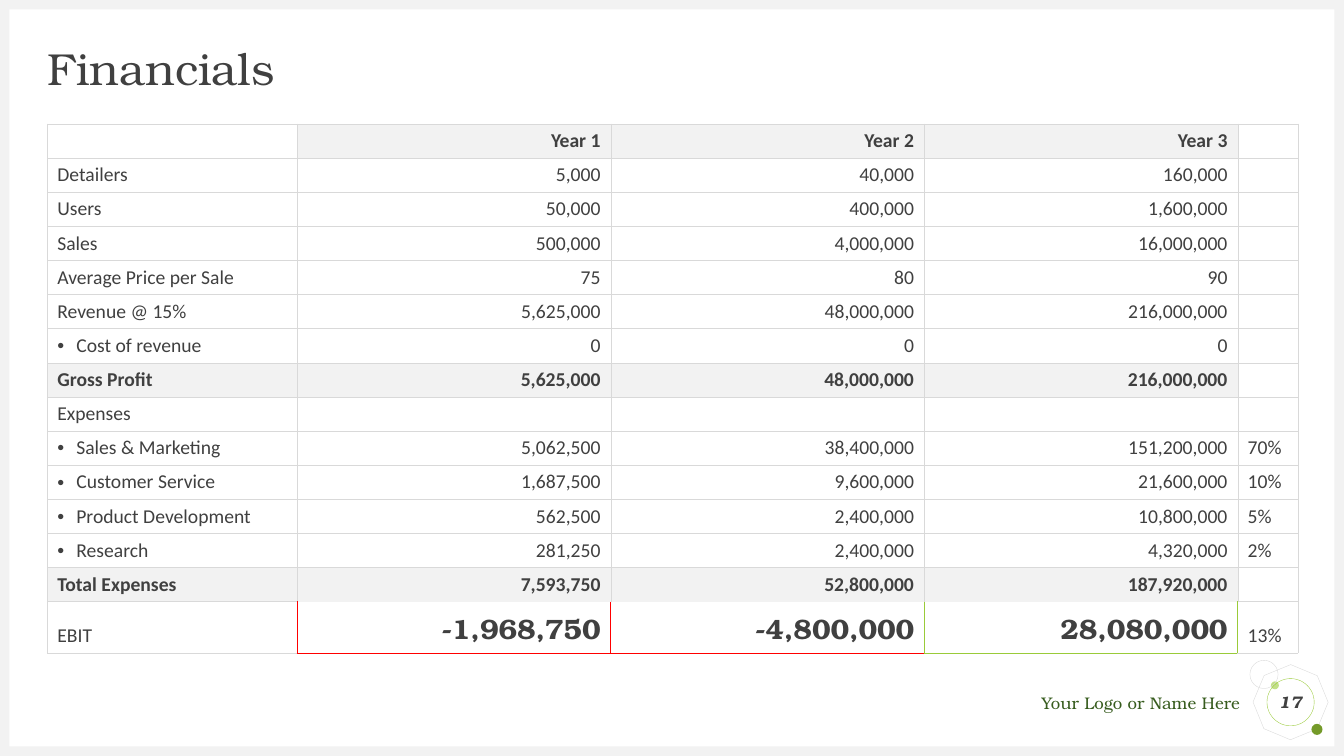
from lxml import etree
from pptx import Presentation
from pptx.dml.color import RGBColor
from pptx.enum.shapes import MSO_SHAPE
from pptx.enum.text import MSO_ANCHOR, PP_ALIGN
from pptx.oxml.ns import qn
from pptx.util import Cm, Pt

RECT, OVAL, OCTAGON = MSO_SHAPE.RECTANGLE, MSO_SHAPE.OVAL, MSO_SHAPE.OCTAGON
LEFT, CENTER, RIGHT = PP_ALIGN.LEFT, PP_ALIGN.CENTER, PP_ALIGN.RIGHT
MIDDLE, BOTTOM = MSO_ANCHOR.MIDDLE, MSO_ANCHOR.BOTTOM

WHITE = RGBColor(0xFF, 0xFF, 0xFF)
PALE = RGBColor(0xF2, 0xF2, 0xF2)
GRID = RGBColor(0xD9, 0xD9, 0xD9)
DARK = RGBColor(0x40, 0x40, 0x40)
RED = RGBColor(0xFF, 0x00, 0x00)
GREEN = RGBColor(0x9A, 0xCB, 0x39)
LIGHT_GREEN = RGBColor(0xC2, 0xE0, 0x88)
MOSS = RGBColor(0x74, 0x9A, 0x29)
FOREST = RGBColor(0x37, 0x5C, 0x1E)

SERIF, SANS = "TeX Gyre Bonum", "Calibri"
TITLE = {"name": SERIF, "size": Pt(32)}
FOOTER = {"name": SERIF, "size": Pt(12)}
NUMBER = {"name": SERIF, "size": Pt(12), "bold": True, "italic": True}
BODY = {"name": SANS, "size": Pt(14), "bold": False}
STRONG = {"name": SANS, "size": Pt(14), "bold": True}
RESULT = {"name": SERIF, "size": Pt(20), "bold": True}

WIDTH, HEIGHT = 33.87, 19.05
COLUMNS = [6.3, 7.9, 7.9, 7.9, 1.52]
ROW, LAST_ROW = 0.86, 1.3
INDENT = 0.48
EXPENSES = ["Sales & Marketing", "Customer Service", "Product Development", "Research"]
BULLETED = ["Cost of revenue", *EXPENSES]
SHADED = ["", "Gross Profit", "Total Expenses"]
ROWS = [
    ["", "Year 1", "Year 2", "Year 3", ""],
    ["Detailers", "5,000", "40,000", "160,000", ""],
    ["Users", "50,000", "400,000", "1,600,000", ""],
    ["Sales", "500,000", "4,000,000", "16,000,000", ""],
    ["Average Price per Sale", "75", "80", "90", ""],
    ["Revenue @ 15%", "5,625,000", "48,000,000", "216,000,000", ""],
    ["Cost of revenue", "0", "0", "0", ""],
    ["Gross Profit", "5,625,000", "48,000,000", "216,000,000", ""],
    ["Expenses", "", "", "", ""],
    ["Sales & Marketing", "5,062,500", "38,400,000", "151,200,000", "70%"],
    ["Customer Service", "1,687,500", "9,600,000", "21,600,000", "10%"],
    ["Product Development", "562,500", "2,400,000", "10,800,000", "5%"],
    ["Research", "281,250", "2,400,000", "4,320,000", "2%"],
    ["Total Expenses", "7,593,750", "52,800,000", "187,920,000", ""],
    ["EBIT", "-1,968,750", "-4,800,000", "28,080,000", "13%"],
]
# Left and right border colours of the last row, column by column
RESULT_SIDES = [(GRID, RED), (RED, RED), (RED, GREEN), (GREEN, GREEN), (GREEN, GRID)]


def write(p, text, style, color=DARK, align=LEFT):
    p.alignment = align
    r = p.add_run()
    r.text = text
    for key, value in style.items():
        setattr(r.font, key, value)
    r.font.color.rgb = color


def set_frame(tf):
    tf.word_wrap = True
    tf.vertical_anchor = MIDDLE
    for side in ("left", "top", "right", "bottom"):
        setattr(tf, f"margin_{side}", 0)
    return tf.paragraphs[0]


def add_text(s, box, text, style, color=DARK, align=LEFT):
    tb = s.shapes.add_textbox(*map(Cm, box))
    p = set_frame(tb.text_frame)
    write(p, text, style, color, align)
    return p


def add_part(s, kind, x, y, w, h, fill=None, line=None):
    sp = s.shapes.add_shape(kind, Cm(x), Cm(y), Cm(w), Cm(h))
    sp.shadow.inherit = False
    if fill is None:
        sp.fill.background()
    else:
        sp.fill.solid()
        sp.fill.fore_color.rgb = fill
    if line is None:
        sp.line.fill.background()
    else:
        sp.line.color.rgb = line
        sp.line.width = Pt(0.25)
    return sp


def add_border(cell, side, color):
    tcPr = cell._tc.get_or_add_tcPr()
    width = Pt(0.25) if color in (GRID, None) else Pt(1)
    ln = etree.SubElement(tcPr, qn(f"a:ln{side}"), w=str(width))
    if color is None:
        etree.SubElement(ln, qn("a:noFill"))
    else:
        fill = etree.SubElement(ln, qn("a:solidFill"))
        etree.SubElement(fill, qn("a:srgbClr"), val=str(color))


def add_bullet(p):
    pPr = p._p.get_or_add_pPr()
    pPr.set("marL", str(Cm(INDENT)))
    pPr.set("indent", str(-Cm(INDENT)))
    etree.SubElement(pPr, qn("a:buFont"), typeface="Arial")
    etree.SubElement(pPr, qn("a:buChar"), char="•")


def border_colors(row, col):
    is_value = 1 <= col <= 3
    left = right = top = bottom = GRID
    if row == len(ROWS) - 1:
        left, right = RESULT_SIDES[col]
        if is_value:
            top, bottom = None, left
    elif row == len(ROWS) - 2 and is_value:
        bottom = None
    return {"L": left, "R": right, "T": top, "B": bottom}


def fill_cell(cell, row, col):
    label, text = ROWS[row][0], ROWS[row][col]
    is_value = 1 <= col <= 3
    shaded = label in SHADED and col < 4 and (row > 0 or is_value)
    for side, color in border_colors(row, col).items():
        add_border(cell, side, color)
    cell.fill.solid()
    cell.fill.fore_color.rgb = PALE if shaded else WHITE
    cell.vertical_anchor = BOTTOM
    p = cell.text_frame.paragraphs[0]
    if not text:
        p._p.get_or_add_endParaRPr().set("sz", "1400")
        return
    if label == "EBIT" and is_value:
        style = RESULT
    else:
        style = STRONG if shaded else BODY
    write(p, text, style, align=RIGHT if is_value else LEFT)
    if text in BULLETED:
        add_bullet(p)


def add_financials(s, x, y):
    heights = [ROW] * (len(ROWS) - 1) + [LAST_ROW]
    box = (x, y, sum(COLUMNS), sum(heights))
    table = s.shapes.add_table(len(ROWS), len(COLUMNS), *map(Cm, box)).table
    table.first_row = table.horz_banding = False
    for column, width in zip(table.columns, COLUMNS):
        column.width = Cm(width)
    for row, height in enumerate(heights):
        table.rows[row].height = Cm(height)
        for col in range(len(COLUMNS)):
            fill_cell(table.cell(row, col), row, col)


def add_page_frame(s, w, h, band=0.24):
    for box in ((0, h - band, w, band), (0, 0, w, band),
                (0, 0, band, h), (w - band, 0, band, h)):
        add_part(s, RECT, *box, fill=PALE)


def add_page_badge(s, x, y, number):
    add_part(s, OCTAGON, x + 0.15, y + 0.18, 1.75, 1.75, line=GRID).rotation = 22.7
    add_part(s, OVAL, x + 0.53, y + 0.53, 0.2, 0.2, fill=LIGHT_GREEN)
    add_part(s, OVAL, x + 1.55, y + 1.6, 0.28, 0.28, fill=MOSS)
    add_part(s, OVAL, x, y, 0.71, 0.71, line=GRID)
    sp = add_part(s, OVAL, x + 0.43, y + 0.46, 1.19, 1.19, line=GREEN)
    write(set_frame(sp.text_frame), number, NUMBER, align=CENTER)


def build_financials_slide(prs):
    s = prs.slides.add_slide(prs.slide_layouts[6])
    add_page_frame(s, WIDTH, HEIGHT)
    # Title and table
    add_text(s, (1.19, 1.19, 31.5, 1.19), "Financials", TITLE).line_spacing = 0.9
    add_financials(s, 1.19, 3.12)
    # Footer
    add_text(s, (24.26, 17.45, 6.99, 0.51), "Your Logo or Name Here", FOOTER, FOREST, RIGHT)
    add_page_badge(s, 31.5, 16.64, "17")


def main():
    prs = Presentation()
    prs.slide_width, prs.slide_height = Cm(WIDTH), Cm(HEIGHT)
    build_financials_slide(prs)
    prs.save("out.pptx")


if __name__ == "__main__":
    main()
